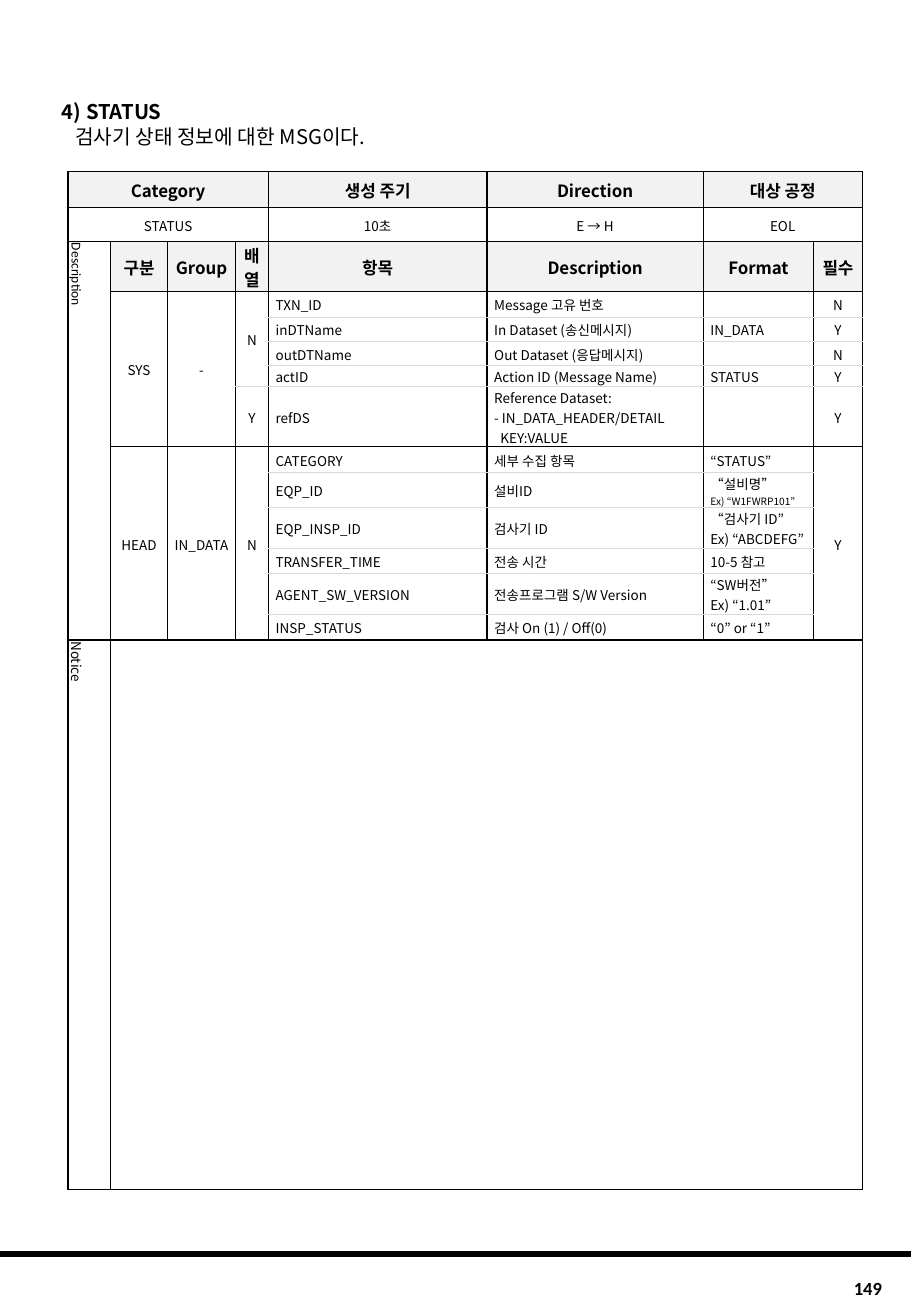
from dataclasses import dataclass
from itertools import product

from lxml.etree import SubElement
from pptx import Presentation
from pptx.dml.color import RGBColor
from pptx.enum.shapes import MSO_CONNECTOR
from pptx.enum.text import MSO_ANCHOR, MSO_AUTO_SIZE, PP_ALIGN
from pptx.oxml.ns import qn
from pptx.util import Inches, Pt


@dataclass(frozen=True)
class Theme:
    ink: str = "000000"
    hairline: str = "D9D9D9"
    header_fill: str = "F2F2F2"
    font: str = "Noto Sans CJK KR"
    latin_font: str = "Calibri"
    title_size: float = 12
    page_size: float = 11
    header_size: float = 10
    body_size: float = 8
    note_size: float = 6
    rule: float = 0.75
    heavy_rule: float = 1
    footer_rule: float = 3


THEME = Theme()
NO_STYLE = "{2D5ABB26-0587-4C30-8999-92F81FD0307C}"

HEADING = [
    ("4) STATUS", dict(bold=True, indent=0.11)),
    ("검사기 상태 정보에 대한 MSG이다.", dict(indent=0.22)),
]
PAGE_NUMBER = "149"

COLUMN_WIDTHS = [0.35, 0.47, 0.56, 0.27, 1.8, 1.78, 0.91, 0.4]
ROW_HEIGHTS = [0.3, 0.28, 0.35, 0.21, 0.2, 0.2, 0.17, 0.46] + [0.21] * 6 + [4.52]
HEADER_ROWS = (0, 2)
SYS_ROWS = range(3, 8)
HEAD_ROWS = range(8, 14)
ITEM_COLUMNS = range(4, 7)

MESSAGE_ROWS = [
    ["Category", "", "", "", "생성 주기", "Direction", "대상 공정", ""],
    ["STATUS", "", "", "", "10초", "E → H", "EOL", ""],
    ["Description", "구분", "Group", "배열", "항목", "Description", "Format", "필수"],
    ["", "SYS", "-", "N", "TXN_ID", "Message 고유 번호", "", "N"],
    ["", "", "", "", "inDTName", "In Dataset (송신메시지)", "IN_DATA", "Y"],
    ["", "", "", "", "outDTName", "Out Dataset (응답메시지)", "", "N"],
    ["", "", "", "", "actID", "Action ID (Message Name)", "STATUS", "Y"],
    ["", "", "", "Y", "refDS",
     ["Reference Dataset:", "- IN_DATA_HEADER/DETAIL", ("KEY:VALUE", dict(indent=0.05))],
     "", "Y"],
    ["", "HEAD", "IN_DATA", "N", "CATEGORY", "세부 수집 항목", "“STATUS”", "Y"],
    ["", "", "", "", "EQP_ID", "설비ID",
     ["“설비명”", ("Ex) “W1FWRP101”", dict(size=THEME.note_size))], ""],
    ["", "", "", "", "EQP_INSP_ID", "검사기 ID", ["“검사기 ID”", "Ex) “ABCDEFG”"], ""],
    ["", "", "", "", "TRANSFER_TIME", "전송 시간", "10-5 참고", ""],
    ["", "", "", "", "AGENT_SW_VERSION", "전송프로그램 S/W Version",
     ["“SW버전”", "Ex) “1.01”"], ""],
    ["", "", "", "", "INSP_STATUS", "검사 On (1) / Off(0)", "“0” or “1”", ""],
    ["Notice", "", "", "", "", "", "", ""],
]
SPANS = {
    (0, 0): (1, 4), (0, 6): (1, 2), (1, 0): (1, 4), (1, 6): (1, 2),
    (2, 0): (12, 1), (3, 1): (5, 1), (3, 2): (5, 1), (3, 3): (4, 1),
    (8, 1): (6, 1), (8, 2): (6, 1), (8, 3): (6, 1), (8, 7): (6, 1),
    (14, 1): (1, 7),
}


def write(frame, text, **text_format):
    """Write one or more lines, each with optional overrides of the shared format."""
    lines = text if isinstance(text, list) else [text]
    for index, line in enumerate(lines):
        words, changes = line if isinstance(line, tuple) else (line, {})
        look = dict(size=THEME.body_size, bold=False, font=THEME.font,
                    align=PP_ALIGN.LEFT, indent=0) | text_format | changes
        paragraph = frame.paragraphs[0] if index == 0 else frame.add_paragraph()
        paragraph.alignment = look["align"]
        if look["indent"]:
            paragraph._p.get_or_add_pPr().set("marL", str(Inches(look["indent"])))
        if not words:
            SubElement(paragraph._p, qn("a:endParaRPr"), sz=str(int(look["size"] * 100)))
            continue
        run = paragraph.add_run()
        run.text = words
        run.font.size = Pt(look["size"])
        run.font.bold = look["bold"]
        run.font.color.rgb = RGBColor.from_string(THEME.ink)
        run.font.name = look["font"]
        SubElement(run.font._element, qn("a:ea"), typeface=look["font"])


def set_insets(frame, inset):
    """Give a text frame the same inset on all sides."""
    frame.margin_left = frame.margin_right = Inches(inset)
    frame.margin_top = frame.margin_bottom = Inches(inset)


def horizontal_rule(boundary, column):
    """Return colour and width of the rule above the given row."""
    inside_group = boundary in SYS_ROWS[1:] or boundary in HEAD_ROWS[1:]
    light = inside_group and (column >= 4 or (column == 3 and boundary == 7))
    return (THEME.hairline if light else THEME.ink,
            THEME.heavy_rule if boundary >= 14 else THEME.rule)


def draw_borders(cell, edges):
    """Add the given cell edges in schema order."""
    properties = cell._tc.get_or_add_tcPr()
    for edge, (color, width) in edges.items():
        border = SubElement(properties, qn(f"a:ln{edge}"), w=str(Pt(width)))
        fill = SubElement(border, qn("a:solidFill"))
        SubElement(fill, qn("a:srgbClr"), val=color)


def format_cell(cell, row, column):
    """Fill one table cell with its text, borders and shading."""
    is_item = row >= 3 and column in ITEM_COLUMNS
    is_vertical = column == 0 and row >= 2
    is_header = row in HEADER_ROWS and not is_vertical
    font = THEME.latin_font if (row, column) == (2, 0) else THEME.font
    write(cell.text_frame, MESSAGE_ROWS[row][column], bold=is_header, font=font,
          size=THEME.header_size if is_header else THEME.body_size,
          align=PP_ALIGN.LEFT if is_item or is_vertical else PP_ALIGN.CENTER)
    cell.vertical_anchor = MSO_ANCHOR.MIDDLE
    cell.margin_left = Inches(0.06 if is_item else 0.01)
    cell.margin_right = cell.margin_top = Inches(0.01)
    cell.margin_bottom = 0
    if is_vertical:
        cell._tc.get_or_add_tcPr().set("vert", "vert")
    if not cell.is_spanned:
        height = SPANS.get((row, column), (1, 1))[0]
        side = (THEME.ink, THEME.rule)
        draw_borders(cell, dict(L=side, R=side, T=horizontal_rule(row, column),
                                B=horizontal_rule(row + height, column)))
    if is_header:
        cell.fill.solid()
        cell.fill.fore_color.rgb = RGBColor.from_string(THEME.header_fill)
    else:
        cell.fill.background()


def add_message_table(slide):
    """Build the message specification table."""
    frame = slide.shapes.add_table(
        len(ROW_HEIGHTS), len(COLUMN_WIDTHS), Inches(0.56), Inches(1.41),
        Inches(sum(COLUMN_WIDTHS)), Inches(sum(ROW_HEIGHTS)))
    table = frame.table
    table.first_row = table.horz_banding = False
    table._tbl.tblPr.find(qn("a:tableStyleId")).text = NO_STYLE
    for column, width in zip(table.columns, COLUMN_WIDTHS):
        column.width = Inches(width)
    for row, height in zip(table.rows, ROW_HEIGHTS):
        row.height = Inches(height)
    for (row, column), (height, width) in SPANS.items():
        table.cell(row, column).merge(table.cell(row + height - 1, column + width - 1))
    for row, column in product(range(len(ROW_HEIGHTS)), range(len(COLUMN_WIDTHS))):
        format_cell(table.cell(row, column), row, column)


def main():
    """Build the STATUS message page."""
    deck = Presentation()
    deck.slide_width, deck.slide_height = Inches(7.5), Inches(10.83)
    slide = deck.slides.add_slide(deck.slide_layouts[5])

    footer_rule = slide.shapes.add_connector(
        MSO_CONNECTOR.STRAIGHT, 0, Inches(10.32), deck.slide_width, Inches(10.32))
    footer_rule.line.color.rgb = RGBColor.from_string(THEME.ink)
    footer_rule.line.width = Pt(THEME.footer_rule)
    SubElement(footer_rule._element.spPr, qn("a:effectLst"))

    add_message_table(slide)

    page = slide.shapes.add_textbox(Inches(6.18), Inches(10.46), Inches(1.18), Inches(0.28))
    page.text_frame.word_wrap = True
    page.text_frame.vertical_anchor = MSO_ANCHOR.MIDDLE
    write(page.text_frame, PAGE_NUMBER, size=THEME.page_size, bold=True,
          font=THEME.latin_font, align=PP_ALIGN.RIGHT)

    title = slide.shapes.title
    title.left, title.top = Inches(0.4), Inches(0.82)
    title.width, title.height = Inches(6.69), Inches(0.4)
    title.text_frame.word_wrap = True
    title.text_frame.auto_size = MSO_AUTO_SIZE.NONE
    title.text_frame.vertical_anchor = MSO_ANCHOR.TOP
    set_insets(title.text_frame, 0)
    write(title.text_frame, HEADING, size=THEME.title_size)

    deck.save("out.pptx")


if __name__ == "__main__":
    main()
